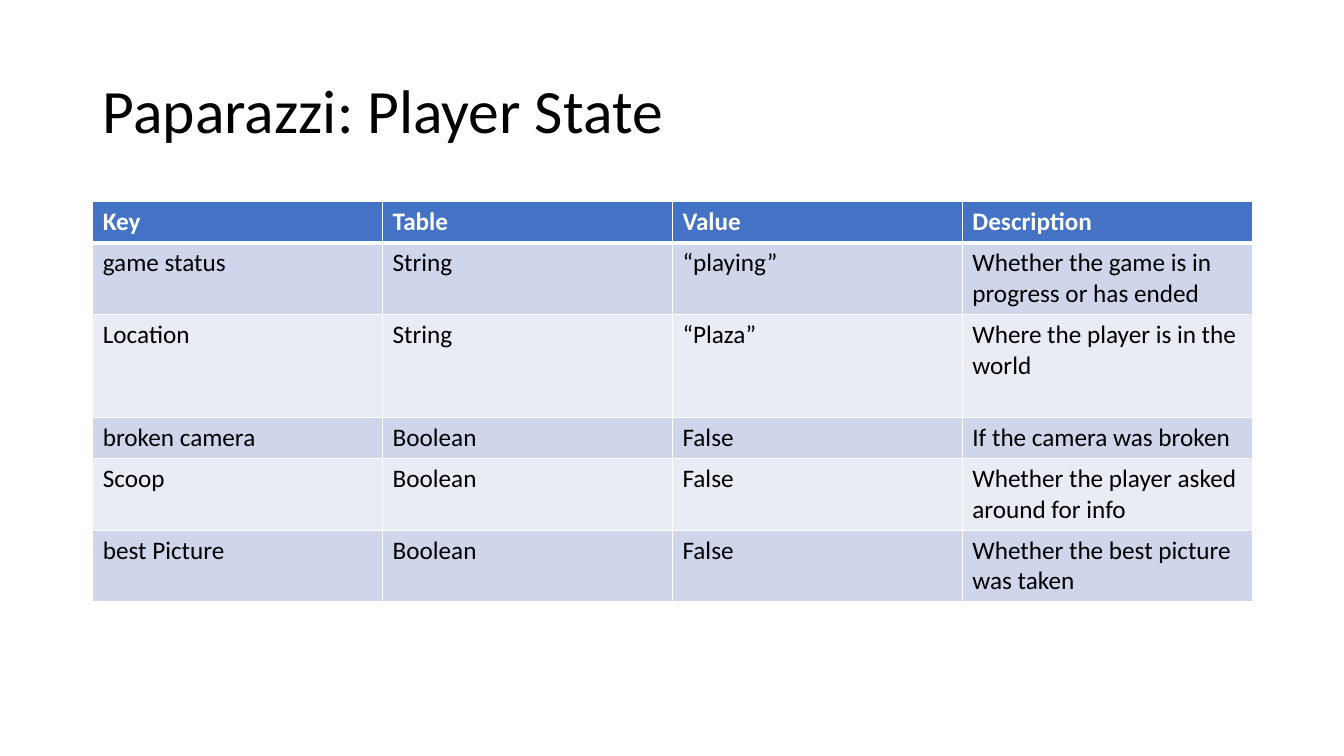
import pptx
import pptx.util
import pptx.dml.color
import pptx.enum.text
import pptx.oxml
import pptx.oxml.ns

Inches = pptx.util.Inches
Pt = pptx.util.Pt
RGBColor = pptx.dml.color.RGBColor

BLACK = RGBColor(0x00, 0x00, 0x00)
WHITE = RGBColor(0xFF, 0xFF, 0xFF)
HEADER_BLUE = RGBColor(0x44, 0x72, 0xC4)
BAND_DARK = RGBColor(0xCF, 0xD5, 0xEA)
BAND_LIGHT = RGBColor(0xE9, 0xEB, 0xF5)
FONT = "Calibri"

ROWS = [
    ("Key", "Table", "Value", "Description"),
    ("game status", "String", "“playing”", "Whether the game is in progress or has ended"),
    ("Location", "String", "“Plaza”", "Where the player is in the world"),
    ("broken camera", "Boolean", "False", "If the camera was broken"),
    ("Scoop", "Boolean", "False", "Whether the player asked around for info"),
    ("best Picture", "Boolean", "False", "Whether the best picture was taken"),
]
ROW_HEIGHTS = [0.41, 0.71, 1.02, 0.41, 0.71, 0.71]


def set_borders(cell, widths):
    tcPr = cell._tc.get_or_add_tcPr()
    for i, (side, width) in enumerate(widths.items()):
        ln = pptx.oxml.parse_xml(
            f'<a:ln{side} {pptx.oxml.ns.nsdecls("a")} w="{Pt(width)}">'
            f'<a:solidFill><a:srgbClr val="{WHITE}"/></a:solidFill></a:ln{side}>'
        )
        tcPr.insert(i, ln)


prs = pptx.Presentation()
prs.slide_width = Inches(13.33)
prs.slide_height = Inches(7.5)
s = prs.slides.add_slide(prs.slide_layouts[6])

title = s.shapes.add_textbox(Inches(0.92), Inches(0.4), Inches(11.5), Inches(1.45))
tf = title.text_frame
tf.word_wrap = True
tf.vertical_anchor = pptx.enum.text.MSO_ANCHOR.MIDDLE
p = tf.paragraphs[0]
p.text = "Paparazzi: Player State"
p.line_spacing = 0.9
p.font.name = FONT
p.font.size = Pt(44)
p.font.color.rgb = BLACK

table = s.shapes.add_table(
    len(ROWS), len(ROWS[0]), Inches(0.92), Inches(2), Inches(11.5), Inches(sum(ROW_HEIGHTS))
).table

for r, (texts, height) in enumerate(zip(ROWS, ROW_HEIGHTS)):
    table.rows[r].height = Inches(height)
    header = r == 0
    fill = HEADER_BLUE if header else BAND_DARK if r % 2 else BAND_LIGHT
    borders = {"L": 1, "R": 1, "T": 3 if r == 1 else 1, "B": 3 if header else 1}
    for c, text in enumerate(texts):
        cell = table.cell(r, c)
        cell.fill.solid()
        cell.fill.fore_color.rgb = fill
        set_borders(cell, borders)
        p = cell.text_frame.paragraphs[0]
        p.text = text
        p.font.name = FONT
        p.font.size = Pt(18)
        p.font.bold = header
        p.font.color.rgb = WHITE if header else BLACK

prs.save("out.pptx")
